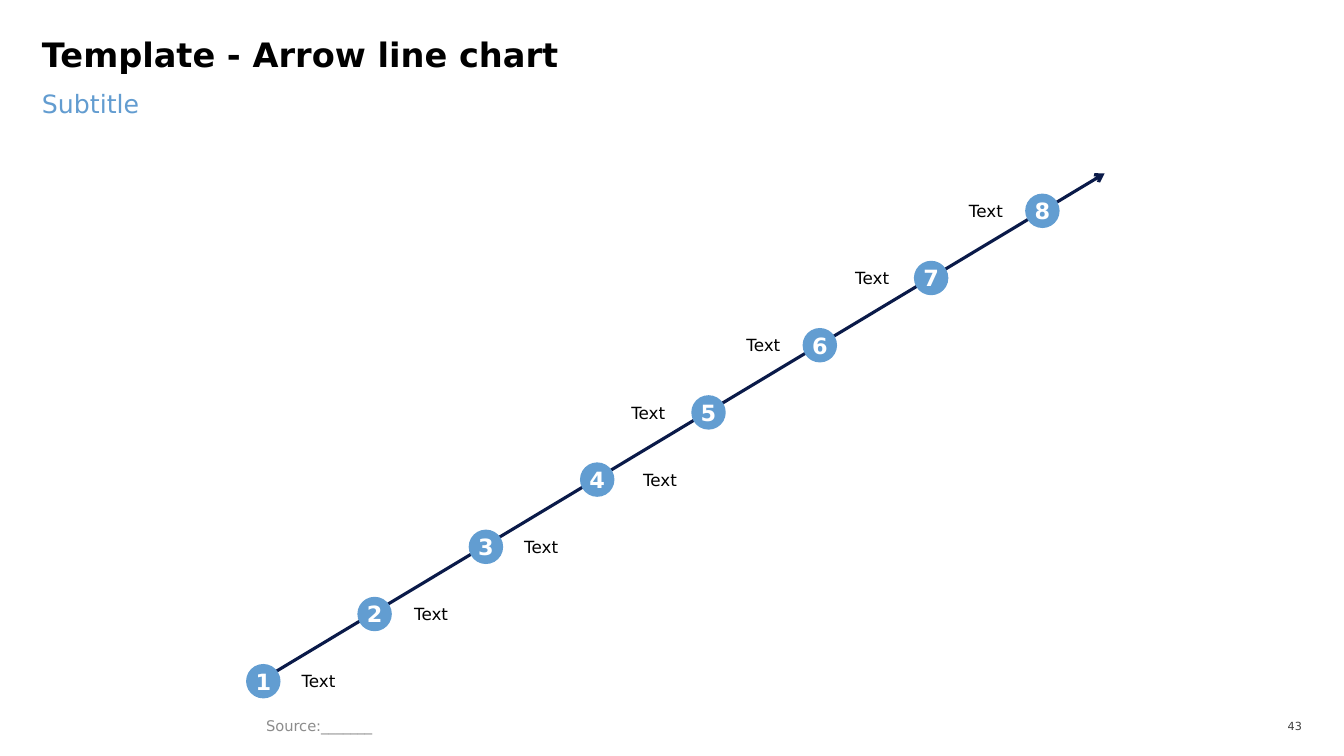
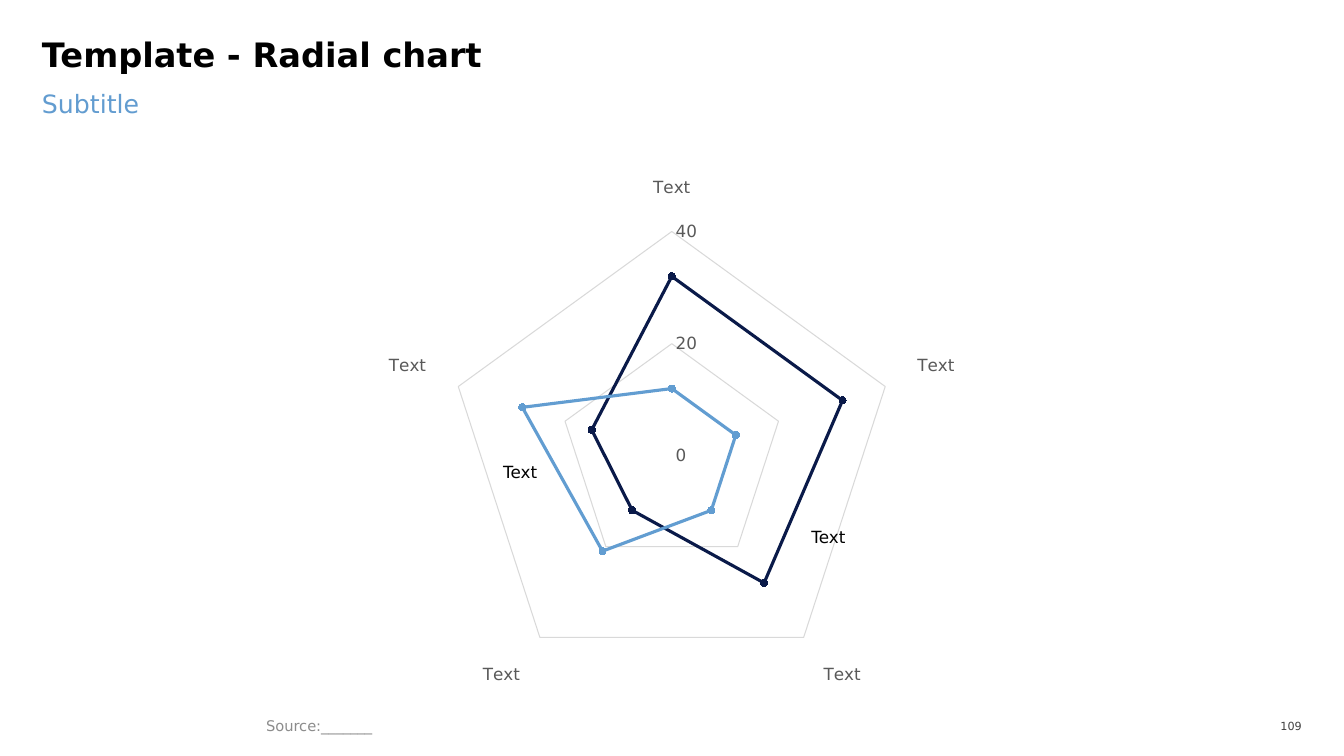
from lxml.etree import SubElement
from pptx import Presentation
from pptx.chart.data import CategoryChartData
from pptx.dml.color import RGBColor
from pptx.enum.chart import XL_CHART_TYPE as ChartType, XL_MARKER_STYLE as Marker, XL_TICK_MARK as Tick
from pptx.enum.shapes import MSO_CONNECTOR as Connector, MSO_SHAPE as Shape
from pptx.enum.text import MSO_ANCHOR as Anchor, MSO_AUTO_SIZE as AutoSize, PP_ALIGN as Align
from pptx.oxml.ns import qn
from pptx.util import Inches, Pt

FONT = "DejaVu Sans"
NAVY, BLUE, SUBTITLE_BLUE = "0A1A49", "629DD1", "629CD0"
BLACK, WHITE, CHARCOAL = "000000", "FFFFFF", "404040"
AXIS_GRAY, SOURCE_GRAY, GRID_GRAY = "595959", "8C8C8C", "D9D9D9"
COLUMNS, ROWS = 32, 18
LABEL_WIDTH, LABEL_HEIGHT = 3.53, 0.48

color = RGBColor.from_string
deck = Presentation()
deck.slide_width, deck.slide_height = Inches(13.33), Inches(7.5)


def place(left, top, width, height):
    column, row = deck.slide_width / COLUMNS, deck.slide_height / ROWS
    return [round(n) for n in (left * column, top * row, width * column, height * row)]


def write(box, text, size, ink, align=Align.LEFT, anchor=Anchor.MIDDLE, bold=False, inset=0):
    frame = box.text_frame
    frame.word_wrap = True
    frame.auto_size = AutoSize.NONE
    frame.vertical_anchor = anchor
    frame.margin_left = frame.margin_right = Inches(inset)
    frame.margin_top = frame.margin_bottom = Inches(inset / 2)
    para = frame.paragraphs[0]
    para.text = text
    para.alignment = align
    para.font.name, para.font.size, para.font.bold = FONT, Pt(size), bold
    para.font.color.rgb = color(ink)
    return para


pages = []
for title, number in [("Template - Arrow line chart", "43"), ("Template - Radial chart", "109")]:
    page = deck.slides.add_slide(deck.slide_layouts[5])
    pages.append(page)
    heading = page.shapes.title
    heading.left, heading.top, heading.width, heading.height = place(1, 1, 30, 1.27)
    write(heading, title, 24, BLACK, anchor=Anchor.TOP, bold=True).line_spacing = 0.8
    subtitle = page.shapes.add_textbox(*place(1, 2.1, 30, 1.5))
    write(subtitle, "Subtitle", 18, SUBTITLE_BLUE, anchor=Anchor.TOP)
    source = page.shapes.add_textbox(*place(6.1, 16.97, 15.34, 0.62))
    write(source, "Source:_______", 10.5, SOURCE_GRAY, inset=0.1)
    page_number = page.shapes.add_textbox(*place(30, 17.02, 1, 0.55))
    write(page_number, number, 8, CHARCOAL, Align.RIGHT)

arrow_page, radar_page = pages

start_x, start_y, end_x, end_y = place(6.1, 16.27, 26.3, 4.13)
arrow = arrow_page.shapes.add_connector(Connector.STRAIGHT, start_x, start_y, end_x, end_y)
arrow.line.color.rgb = color(NAVY)
arrow.line.width = Pt(2.25)
SubElement(arrow.line._get_or_add_ln(), qn("a:tailEnd"), type="arrow")
SubElement(arrow._element.spPr, qn("a:effectLst"))

DIAMETER = 0.82
label_gaps = [0.91, 0.94, 0.91, 1.09, 1.03, 0.94, 1, 0.94]
for step, gap in enumerate(label_gaps):
    center_x, center_y = 6.27 + 2.65 * step, 16.22 - 1.6 * step
    corner = center_x - DIAMETER / 2, center_y - DIAMETER / 2
    circle = arrow_page.shapes.add_shape(Shape.OVAL, *place(*corner, DIAMETER, DIAMETER))
    circle.shadow.inherit = False
    circle.fill.solid()
    circle.fill.fore_color.rgb = color(BLUE)
    circle.line.fill.background()
    write(circle, str(step + 1), 16, WHITE, Align.CENTER, bold=True)

    on_right = step < len(label_gaps) / 2
    left = center_x + gap if on_right else center_x - gap - LABEL_WIDTH
    label = arrow_page.shapes.add_textbox(
        *place(left, center_y - LABEL_HEIGHT / 2, LABEL_WIDTH, LABEL_HEIGHT))
    write(label, "Text", 12, BLACK, Align.LEFT if on_right else Align.RIGHT)

data = CategoryChartData()
data.categories = ["Text"] * 5
data.add_series("Series 1", [32, 32, 28, 12, 15])
data.add_series("Series 2", [12, 12, 12, 21, 28])
chart = radar_page.shapes.add_chart(
    ChartType.RADAR_MARKERS, *place(5.33, 3.98, 21.33, 12.58), data).chart
chart.has_legend = chart.has_title = False
chart.font.name, chart.font.size = FONT, Pt(10)
chart.font.color.rgb = color(BLACK)
chart.plots[0].vary_by_categories = False

for axis in (chart.category_axis, chart.value_axis):
    axis.major_tick_mark = axis.minor_tick_mark = Tick.NONE
    axis.tick_labels.font.name, axis.tick_labels.font.size = FONT, Pt(12)
    axis.tick_labels.font.color.rgb = color(AXIS_GRAY)
    axis.tick_labels.number_format = "General"
    axis.tick_labels.number_format_is_linked = False
    for line in (axis.major_gridlines.format.line, axis.format.line):
        line.color.rgb = color(GRID_GRAY)
        line.width = Pt(0.75)
scale = chart.value_axis
scale.format.line.fill.background()
scale.minimum_scale, scale.maximum_scale, scale.major_unit = 0, 40, 20

for series, ink in zip(chart.plots[0].series, (NAVY, BLUE)):
    series.format.line.color.rgb = color(ink)
    series.format.line.width = Pt(2.25)
    series.marker.style, series.marker.size = Marker.CIRCLE, 5
    series.marker.format.fill.solid()
    series.marker.format.fill.fore_color.rgb = color(ink)
    series.marker.format.line.color.rgb = color(ink)

for left, top, align in [(19.32, 12.53, Align.LEFT), (9.26, 10.99, Align.RIGHT)]:
    label = radar_page.shapes.add_textbox(*place(left, top, LABEL_WIDTH, LABEL_HEIGHT))
    write(label, "Text", 12, BLACK, align)

deck.save("out.pptx")
